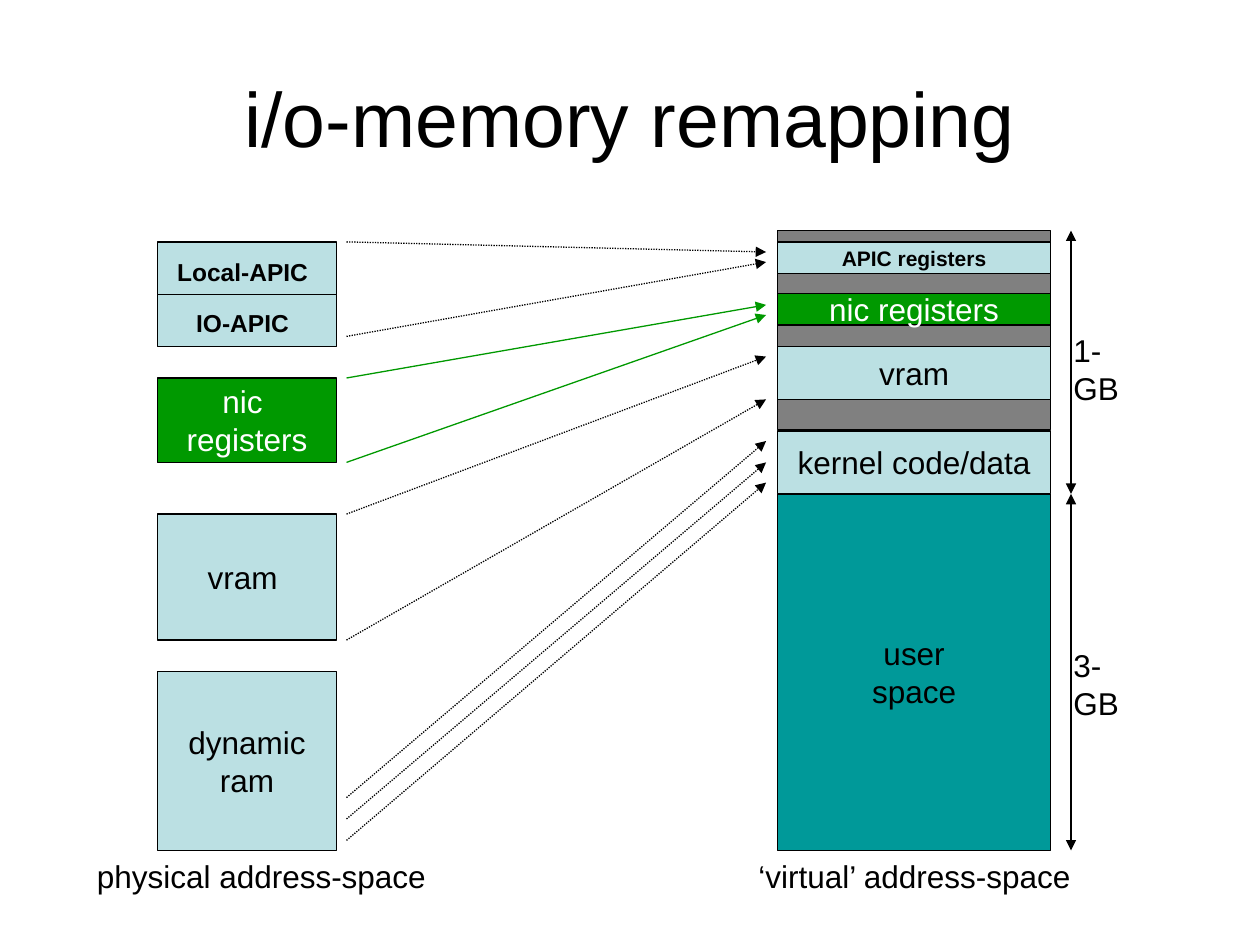
from lxml import etree
from pptx import Presentation
from pptx.dml.color import RGBColor
from pptx.enum.dml import MSO_LINE
from pptx.enum.shapes import MSO_CONNECTOR, MSO_SHAPE
from pptx.enum.text import MSO_ANCHOR, MSO_AUTO_SIZE, PP_ALIGN
from pptx.oxml.ns import qn
from pptx.util import Inches, Pt

RECT = MSO_SHAPE.RECTANGLE
STRAIGHT = MSO_CONNECTOR.STRAIGHT
DOTTED = MSO_LINE.ROUND_DOT
CENTER = PP_ALIGN.CENTER
MIDDLE = MSO_ANCHOR.MIDDLE
FIT = MSO_AUTO_SIZE.SHAPE_TO_FIT_TEXT
FONT = "Arial"
COLORS = {
    "black": "000000",
    "white": "FFFFFF",
    "pale": "BBE0E3",
    "green": "009900",
    "teal": "009999",
    "gray": "808080",
}


def rgb(name):
    return RGBColor.from_string(COLORS[name])


def style_run(r, size=18, color="black", bold=False):
    r.font.name = FONT
    r.font.size = Pt(size)
    r.font.bold = bold
    r.font.color.rgb = rgb(color)


def add_title(s, box, text):
    sp = s.shapes.title
    sp.left, sp.top, sp.width, sp.height = map(Inches, box)
    tf = sp.text_frame
    tf.text = text
    tf.vertical_anchor = MIDDLE
    p = tf.paragraphs[0]
    p.alignment = CENTER
    style_run(p.runs[0], 44)


def add_block(s, box, fill, text="", size=18, bold=False, wrap=True, tail=""):
    sp = s.shapes.add_shape(RECT, *map(Inches, box))
    sp.shadow.inherit = False
    sp.fill.solid()
    sp.fill.fore_color.rgb = rgb(fill)
    sp.line.color.rgb = rgb("black")
    sp.line.width = Pt(0.75)
    tf = sp.text_frame
    tf.text = text
    tf.word_wrap = wrap
    tf.vertical_anchor = MIDDLE
    for p in tf.paragraphs:
        p.alignment = CENTER
        for r in p.runs:
            style_run(r, size, "white" if fill == "green" else "black", bold)
    if tail:
        r = tf.paragraphs[-1].add_run()
        r.text = tail
        style_run(r)


def add_label(s, box, text):
    tb = s.shapes.add_textbox(*map(Inches, box))
    tf = tb.text_frame
    tf.word_wrap = False
    tf.auto_size = FIT
    tf.text = text
    style_run(tf.paragraphs[0].runs[0])


def add_arrow(s, start, end, color="black", dotted=False, both=False):
    cx = s.shapes.add_connector(STRAIGHT, *map(Inches, (*start, *end)))
    cx.line.color.rgb = rgb(color)
    cx.line.width = Pt(0.75)
    if dotted:
        cx.line.dash_style = DOTTED
    sppr = cx._element.spPr
    ln = sppr.find(qn("a:ln"))
    for tag in ("a:headEnd", "a:tailEnd") if both else ("a:tailEnd",):
        etree.SubElement(ln, qn(tag)).set("type", "triangle")
    etree.SubElement(sppr, qn("a:effectLst"))


def add_physical_space(s, box):
    left, top, width, height = box
    blocks = [
        (3.41, 1.42, "pale", "dynamic\nram", 18, False, ""),
        (1.08, 0.67, "green", "nic \nregisters", 18, False, ""),
        (2.16, 1, "pale", "vram ", 18, False, ""),
        (0.41, 0.42, "pale", "IO-APIC", 14, True, " "),
        (0, 0.42, "pale", "Local-APIC", 14, True, " "),
    ]
    for dy, h, fill, text, size, bold, tail in blocks:
        add_block(s, (left, top + dy, width, h), fill, text, size, bold, False, tail)
    add_label(s, (left - 0.58, top + height, 2.81, 0.4), "physical address-space")


def add_virtual_space(s, box):
    left, top, width, height = box
    add_block(s, (left, top, width, 1.58), "gray")
    blocks = [
        (2.09, 2.83, "teal", "user\nspace", 18, False),
        (0.09, 0.25, "pale", "APIC registers", 12, True),
        (1.59, 0.5, "pale", "kernel code/data", 18, False),
        (0.5, 0.25, "green", "nic registers", 18, False),
        (0.92, 0.42, "pale", "vram", 18, False),
    ]
    for dy, h, fill, text, size, bold in blocks:
        add_block(s, (left, top + dy, width, h), fill, text, size, bold, False)
    add_label(s, (left - 0.25, top + height, 2.68, 0.4), "‘virtual’ address-space")


def add_mappings(s, box):
    left, top, width, _ = box
    mappings = [
        (4.75, 1.91, "black"),
        (4.58, 1.75, "black"),
        (4.41, 1.58, "black"),
        (1.75, 0.58, "green"),
        (1.08, 0.5, "green"),
        (0.75, 0.16, "black"),
        (0, 0.08, "black"),
        (3.16, 1.25, "black"),
        (2.16, 0.91, "black"),
    ]
    for y1, y2, color in mappings:
        add_arrow(s, (left, top + y1), (left + width, top + y2), color, color == "black")


def add_size_scale(s, box):
    left, top, _, height = box
    split = top + 2.09
    spans = [("1-GB", top, split, 2.58), ("3-GB", split, top + height, 5.08)]
    for text, y1, y2, label_top in spans:
        add_arrow(s, (left + 0.08, y2), (left + 0.08, y1), both=True)
        add_label(s, (left, label_top, 0.78, 0.4), text)


def main():
    prs = Presentation()
    prs.slide_width, prs.slide_height = Inches(10), Inches(7.5)
    s = prs.slides.add_slide(prs.slide_layouts[5])
    add_title(s, (0.5, 0.3, 9, 1.25), "i/o-memory remapping")
    add_physical_space(s, (1.25, 1.92, 1.42, 4.83))
    add_virtual_space(s, (6.17, 1.83, 2.17, 4.92))
    add_mappings(s, (2.75, 1.92, 3.33, 4.83))
    add_size_scale(s, (8.42, 1.83, 0.78, 4.92))
    prs.save("out.pptx")


if __name__ == "__main__":
    main()
